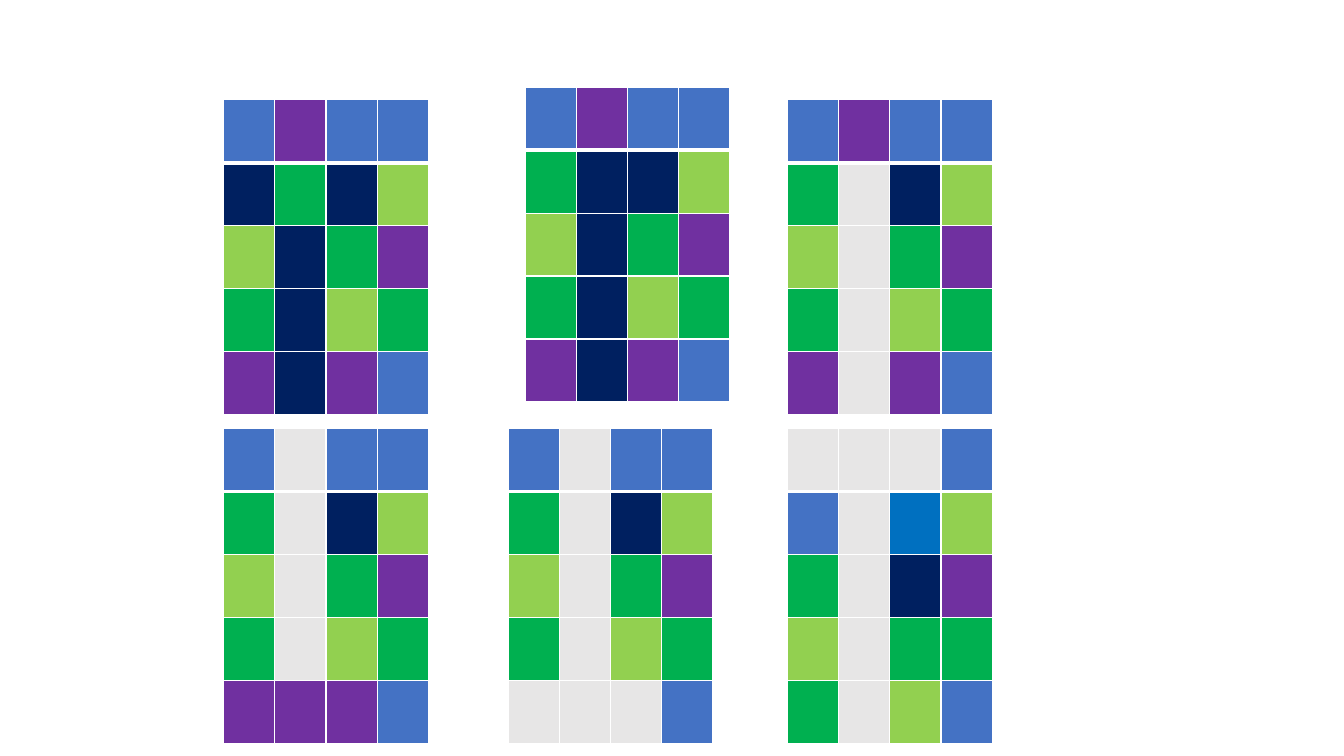
from dataclasses import dataclass, field

from lxml import etree
from pptx import Presentation
from pptx.dml.color import RGBColor
from pptx.oxml.ns import qn
from pptx.util import Pt

PX = 9525  # EMU in one px, 96 px to the inch
WIDE, HIGH = 1280, 720
GRID_W, GRID_H = 195, 300


@dataclass(frozen=True)
class Theme:
    edge: str = "FFFFFF"
    thin: int = 1
    thick: int = 3
    fills: dict = field(default_factory=lambda: {
        "B": "4472C4",  # blue
        "P": "7030A0",  # purple
        "N": "002060",  # navy
        "G": "00B050",  # green
        "L": "92D050",  # lime
        "S": "0070C0",  # sky
        "-": "E7E6E6",  # cleared
    })


THEME = Theme()

# Left, top, then one letter per cell and one word per row
GRIDS = [
    (213, 95, "BPBB NGNL LNGP GNLG PNPB"),
    (500, 83, "BPBB GNNL LNGP GNLG PNPB"),
    (750, 95, "BPBB G-NL L-GP G-LG P-PB"),
    (213, 408, "B-BB G-NL L-GP G-LG PPPB"),
    (484, 408, "B-BB G-NL L-GP G-LG ---B"),
    (750, 408, "---B B-SL G-NP L-GG G-LB"),
]


def add_edges(cell, **widths):
    """Draw the sides L, R, T and B of a cell, with widths in points."""
    props = cell._tc.get_or_add_tcPr()
    for side in "LRTB":
        line = etree.SubElement(props, qn(f"a:ln{side}"))
        line.set("w", str(Pt(widths.get(side, THEME.thin))))
        fill = etree.SubElement(line, qn("a:solidFill"))
        etree.SubElement(fill, qn("a:srgbClr")).set("val", THEME.edge)


def add_grid(slide, left, top, wide, high, code):
    rows = code.split()
    count = len(rows[0])
    box = [n * PX for n in (left, top, wide, high)]
    table = slide.shapes.add_table(len(rows), count, *box).table
    for col in table.columns:
        col.width = wide * PX // count
    for r, row in enumerate(rows):
        table.rows[r].height = high * PX // len(rows)
        for c, key in enumerate(row):
            cell = table.cell(r, c)
            heavy = {0: "B", 1: "T"}.get(r)
            add_edges(cell, **({heavy: THEME.thick} if heavy else {}))
            cell.fill.solid()
            cell.fill.fore_color.rgb = RGBColor.from_string(THEME.fills[key])


def main():
    deck = Presentation()
    deck.slide_width, deck.slide_height = WIDE * PX, HIGH * PX
    slide = deck.slides.add_slide(deck.slide_layouts[6])
    for left, top, code in GRIDS:
        add_grid(slide, left, top, GRID_W, GRID_H, code)
    deck.save("out.pptx")


if __name__ == "__main__":
    main()
